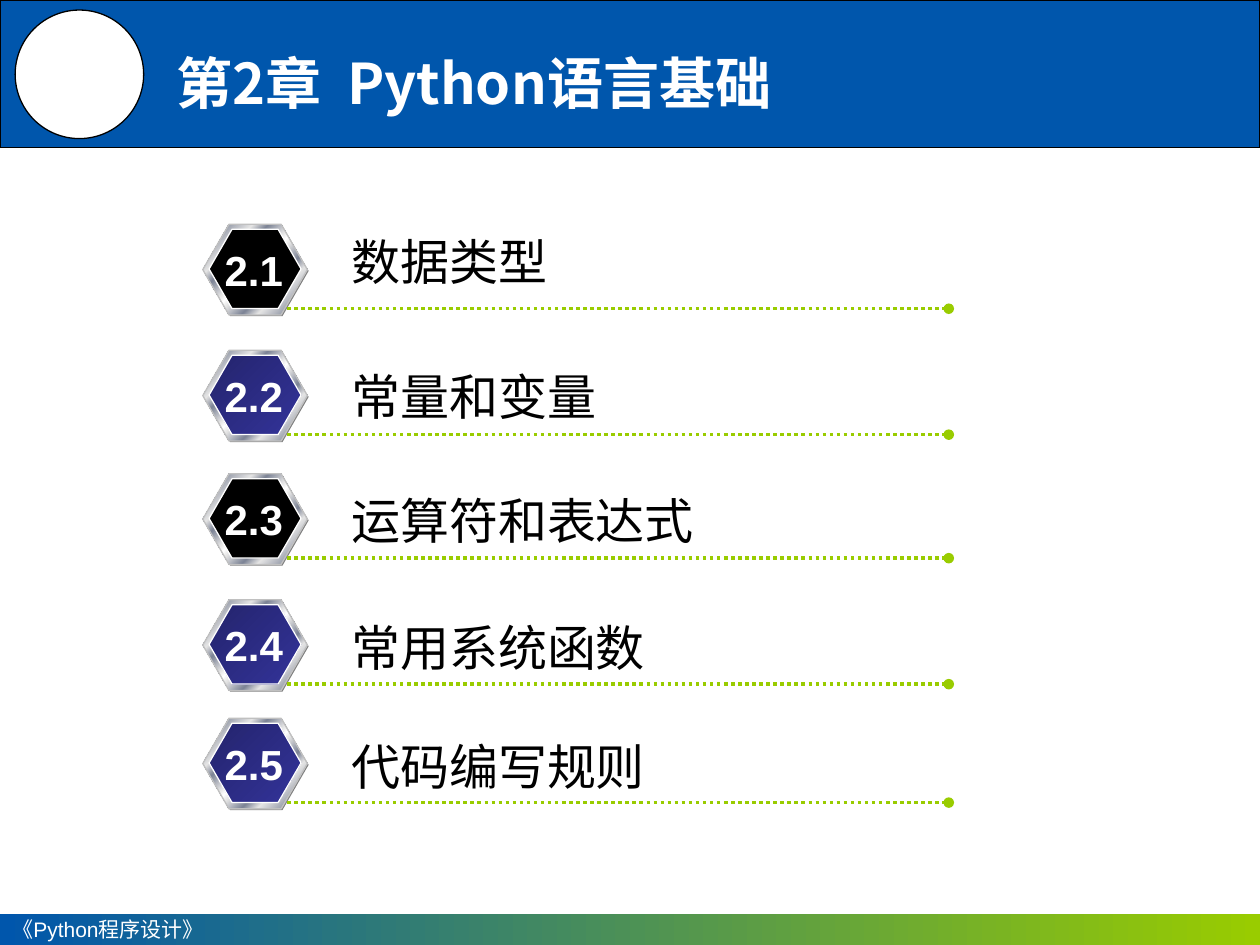
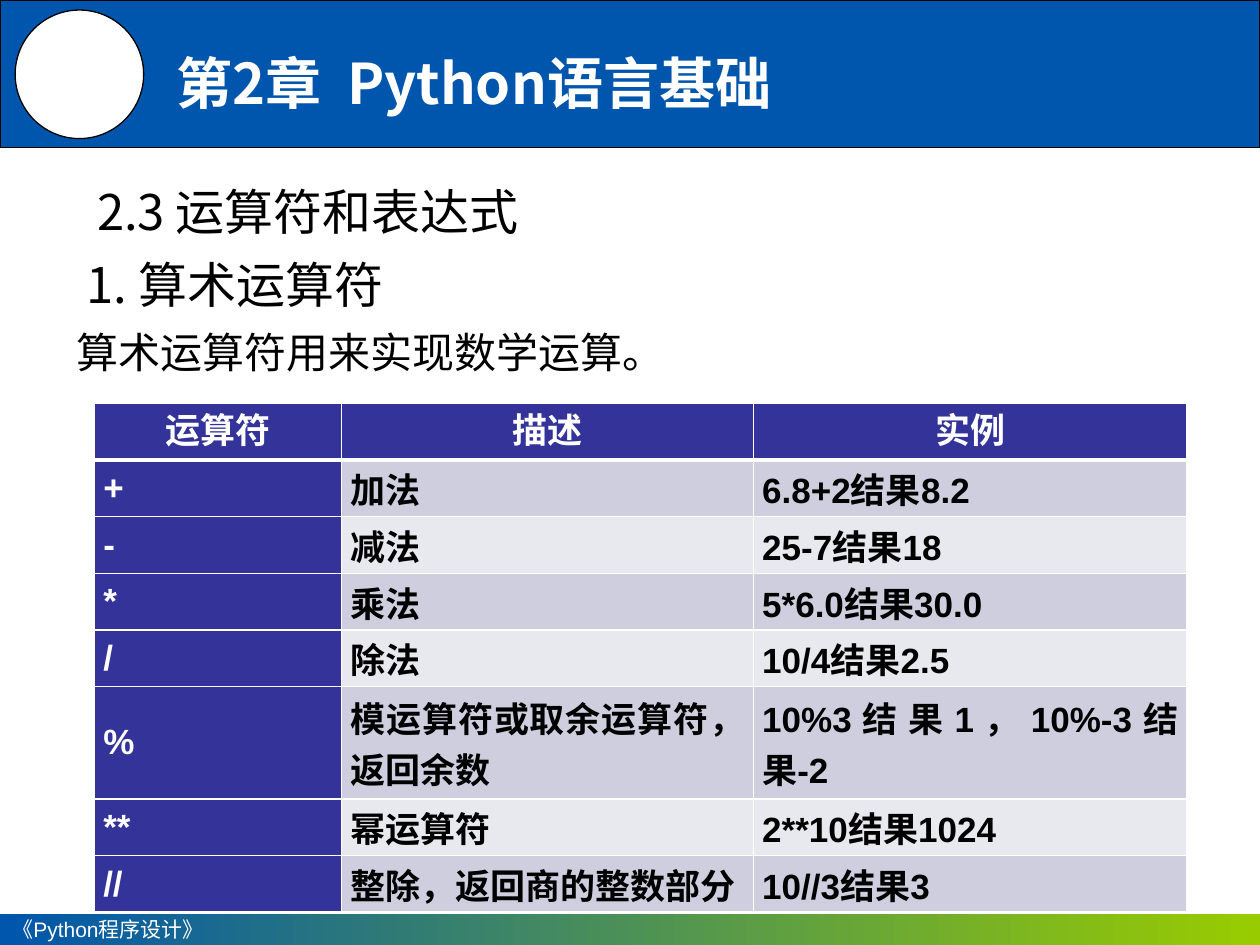
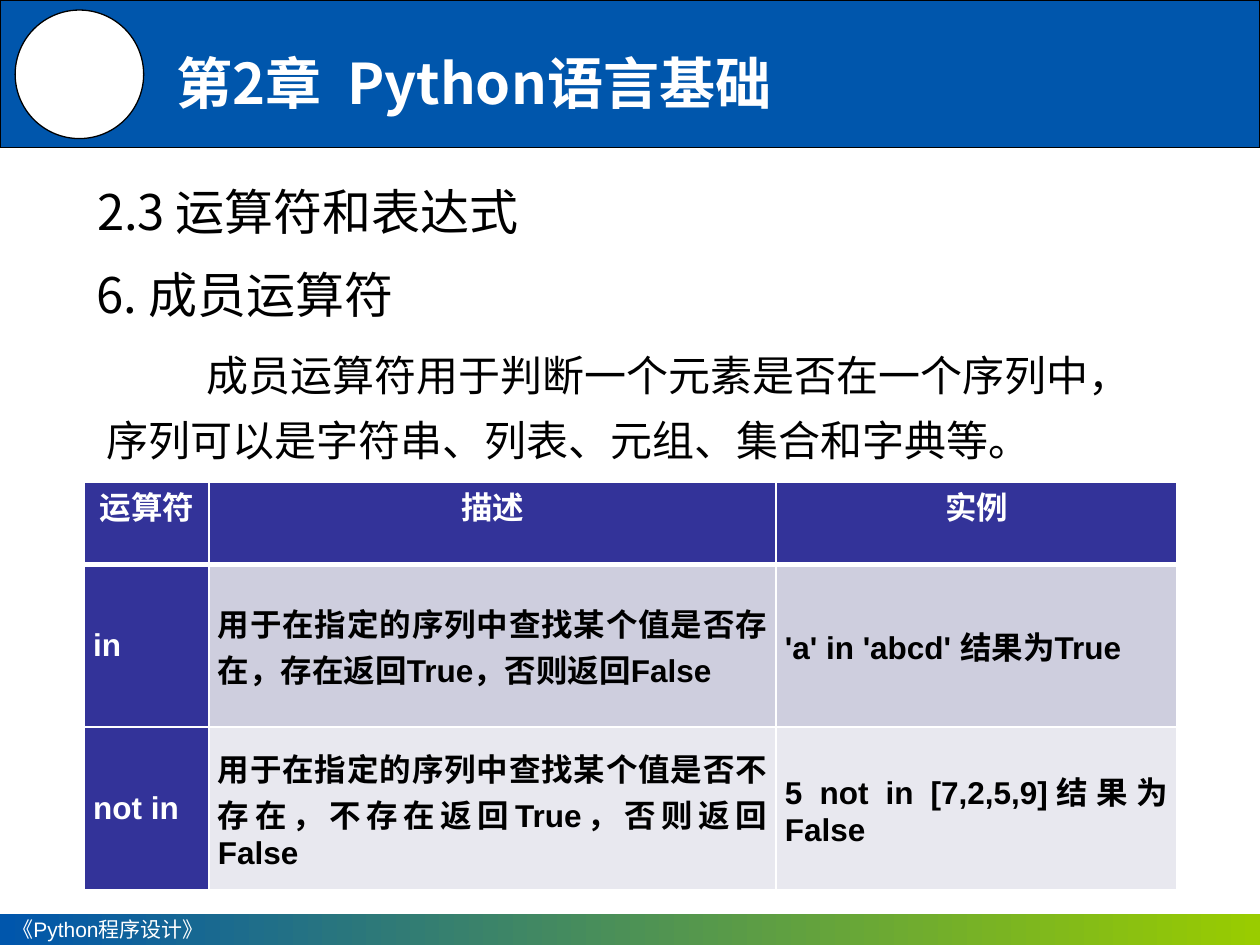
from lxml.etree import SubElement
from pptx import Presentation
from pptx.dml.color import RGBColor
from pptx.enum.dml import MSO_LINE
from pptx.enum.shapes import MSO_CONNECTOR, MSO_SHAPE as Preset
from pptx.enum.text import MSO_ANCHOR as Anchor, MSO_AUTO_SIZE as AutoSize, PP_ALIGN as Align
from pptx.oxml.ns import qn
from pptx.util import Inches, Pt

COLORS = {
    "band": "0056AC",
    "green": "99CC00",
    "white": "FFFFFF",
    "black": "000000",
    "shadow": "808080",
    "rim": "C0C0C0",
    "silver": "E6E6E6",
    "steel": "7D8496",
    "navy": "24246D",
    "indigo": "333399",
    "odd_row": "CECEDE",
    "even_row": "E8E8EF",
}
LATIN = "Arial"
CHINESE = "Noto Sans CJK SC"
CHAPTER = "第2章  Python语言基础"
SECTION = "2.3 运算符和表达式"
FOOTER = "《Python程序设计》"

NAVY_STOPS = [(0, "navy"), (100, "indigo")]
METAL_STOPS = [
    (0, "silver"), (8, "steel"), (26, "silver"), (34, "steel"), (46, "silver"), (50, "white"),
    (54, "silver"), (66, "steel"), (74, "silver"), (92, "steel"), (100, "silver"),
]

SECTIONS = [
    ("2.1", "数据类型", 1.78, 1.79, 1.77, 1, True),
    ("2.2", "常量和变量", 2.78, 2.86, 2.16, 1, False),
    ("2.3", "运算符和表达式", 3.76, 3.84, 2.95, 1, True),
    ("2.4", "常用系统函数", 4.76, 4.62, 2.56, 1.5, False),
    ("2.5", "代码编写规则", 5.7, 5.56, 2.56, 1.5, False),
]

TABLE_HEADER = ("运算符", "描述", "实例")
ARITHMETIC_ROWS = [
    TABLE_HEADER,
    ("+", "加法", "6.8+2结果8.2"),
    ("-", "减法", "25-7结果18"),
    ("*", "乘法", "5*6.0结果30.0"),
    ("/", "除法", "10/4结果2.5"),
    ("%", "模运算符或取余运算符，返回余数", "10%3结果1，10%-3结果-2"),
    ("**", "幂运算符", "2**10结果1024"),
    ("//", "整除，返回商的整数部分", "10//3结果3"),
]
MEMBERSHIP_ROWS = [
    TABLE_HEADER,
    ("in", "用于在指定的序列中查找某个值是否存在，存在返回True，否则返回False", "'a' in 'abcd' 结果为True"),
    ("not in", "用于在指定的序列中查找某个值是否不存在，不存在返回True，否则返回False",
     "5 not in [7,2,5,9]结果为False"),
]


def rgb(name):
    return RGBColor.from_string(COLORS[name])


def inches(values):
    return [Inches(value) for value in values]


def write(text_frame, text, size, color, font=CHINESE, bold=False, align=Align.LEFT, spacing=None):
    text_frame.text = text
    paragraph = text_frame.paragraphs[0]
    paragraph.alignment = align
    if spacing:
        paragraph.line_spacing = spacing
    for run in paragraph.runs:
        run.font.size = Pt(size)
        run.font.bold = bold
        run.font.color.rgb = rgb(color)
        run.font.name = font
        SubElement(run._r.get_or_add_rPr(), qn("a:ea")).set("typeface", CHINESE)
    return paragraph


def set_indent(paragraph, left, first):
    properties = paragraph._p.get_or_add_pPr()
    properties.set("marL", str(Inches(left)))
    properties.set("indent", str(Inches(first)))
    return properties


def fill_gradient(shape, stops, angle):
    shape.fill.gradient()
    shape.fill.gradient_angle = -angle % 360
    stop_list = shape.element.spPr.find(".//" + qn("a:gsLst"))
    for stop in list(stop_list):
        stop_list.remove(stop)
    for position, color in stops:
        stop = SubElement(stop_list, qn("a:gs"))
        stop.set("pos", str(position * 1000))
        SubElement(stop, qn("a:srgbClr")).set("val", COLORS[color])


def add_preset(shapes, preset, box, fill, line=None, angle=0):
    shape = shapes.add_shape(preset, *inches(box))
    shape.shadow.inherit = False
    if isinstance(fill, list):
        fill_gradient(shape, fill, angle)
    else:
        shape.fill.solid()
        shape.fill.fore_color.rgb = rgb(fill)
    if line:
        shape.line.color.rgb = rgb(line)
        shape.line.width = Pt(0.75)
    else:
        shape.line.fill.background()
    return shape


def add_text(shapes, box, text, size, color="black", wrap=True, **style):
    text_frame = shapes.add_textbox(*inches(box)).text_frame
    text_frame.word_wrap = wrap
    text_frame.auto_size = AutoSize.SHAPE_TO_FIT_TEXT
    return write(text_frame, text, size, color, **style)


def add_hexagon(shapes, box, fill, line=None):
    hexagon = add_preset(shapes, Preset.HEXAGON, box, fill, line, angle=45)
    hexagon.adjustments[0] = 0.289


def add_dotted_rule(shapes, left, right, top):
    rule = shapes.add_connector(MSO_CONNECTOR.STRAIGHT, *inches((left, top, right, top)))
    rule.line.color.rgb = rgb("green")
    rule.line.width = Pt(2)
    rule.line.dash_style = MSO_LINE.ROUND_DOT
    SubElement(rule.line._get_or_add_ln(), qn("a:tailEnd")).set("type", "oval")
    SubElement(rule.element.spPr, qn("a:effectLst"))


def add_section(slide, number, name, top, name_top, name_width, spacing, dark):
    shapes = slide.shapes.add_group_shape().shapes
    add_hexagon(shapes, (1.62, top + 0.01, 0.83, 0.72), "shadow")
    add_hexagon(shapes, (1.61, top, 0.83, 0.72), METAL_STOPS, "rim")
    add_hexagon(shapes, (1.66, top + 0.04, 0.73, 0.63), "black" if dark else NAVY_STOPS, "white")
    add_dotted_rule(shapes, 2.28, 7.53, top + 0.67)
    add_text(shapes, (2.69, name_top, name_width, 0.57 if spacing == 1 else 0.72), name, 28,
             wrap=False, spacing=spacing)
    add_text(shapes, (1.68, top + 0.11, 0.67, 0.51), number, 24, "white", wrap=False,
             font=LATIN, bold=True, align=Align.CENTER)


def move_frame_to_master(presentation, slide):
    band = add_preset(slide.shapes, Preset.RECTANGLE, (0, 0, 10, 1.17), "band", "black")
    footer = add_preset(slide.shapes, Preset.RECTANGLE, (0, 7.25, 10, 0.25),
                        [(0, "band"), (100, "green")])
    footer.text_frame.vertical_anchor = Anchor.MIDDLE
    footer.text_frame.word_wrap = True
    write(footer.text_frame, FOOTER, 12, "white", font=LATIN)
    badge = add_preset(slide.shapes, Preset.OVAL, (0.12, 0.08, 1.02, 1.02), "white", "black")
    for number, shape in enumerate((band, footer, badge), 101):
        shape.element.nvSpPr.cNvPr.id = number
        presentation.slide_master.shapes.element.append(shape.element)


def place(shape, box):
    shape.left, shape.top, shape.width, shape.height = inches(box)
    shape.text_frame.word_wrap = True
    shape.text_frame.auto_size = AutoSize.NONE
    return shape.text_frame


def add_slide(presentation, layout):
    slide = presentation.slides.add_slide(presentation.slide_layouts[layout])
    title_frame = place(slide.shapes.title, (1.3, 0.15, 6.46, 1))
    title_frame.vertical_anchor = Anchor.MIDDLE
    write(title_frame, CHAPTER, 32, "white", bold=True)
    return slide


def add_section_slide(presentation):
    slide = add_slide(presentation, 1)
    body_frame = place(slide.placeholders[1], (0.67, 1.39, 3.94, 0.63))
    paragraph = write(body_frame, SECTION, 28, "black")
    paragraph.space_before = Pt(0)
    SubElement(set_indent(paragraph, 0.38, -0.38), qn("a:buNone"))
    return slide


def add_borders(cell, row):
    properties = cell._tc.get_or_add_tcPr()
    widths = {"lnL": 1, "lnR": 1, "lnT": 3 if row == 1 else 1, "lnB": 3 if row == 0 else 1}
    for side, width in widths.items():
        line = SubElement(properties, qn("a:" + side))
        line.set("w", str(Pt(width)))
        fill = SubElement(line, qn("a:solidFill"))
        SubElement(fill, qn("a:srgbClr")).set("val", COLORS["white"])


def add_operator_table(slide, left, top, widths, heights, rows, size, left_aligned=()):
    box = inches((left, top, sum(widths), sum(heights)))
    table = slide.shapes.add_table(len(rows), len(widths), *box).table
    for column, width in zip(table.columns, widths):
        column.width = Inches(width)
    for row, (height, texts) in enumerate(zip(heights, rows)):
        table.rows[row].height = Inches(height)
        for column, text in enumerate(texts):
            cell = table.cell(row, column)
            heading = row == 0 or column == 0
            add_borders(cell, row)
            cell.fill.solid()
            cell.fill.fore_color.rgb = rgb("indigo" if heading else "odd_row" if row % 2 else "even_row")
            cell.margin_left = cell.margin_right = Inches(0.07)
            cell.margin_top = cell.margin_bottom = 0
            cell.vertical_anchor = Anchor.MIDDLE if row else Anchor.TOP
            align = Align.JUSTIFY if row else Align.CENTER
            if (row, column) in left_aligned:
                align = Align.LEFT
            write(cell.text_frame, text, size, "white" if heading else "black",
                  font=LATIN, bold=True, align=align)


def build_contents(presentation):
    slide = add_slide(presentation, 5)
    move_frame_to_master(presentation, slide)
    for section in SECTIONS:
        add_section(slide, *section)


def build_arithmetic(presentation):
    slide = add_section_slide(presentation)
    add_text(slide.shapes, (0.59, 1.94, 9.13, 0.61), "1. 算术运算符", 28, spacing=Pt(36))
    add_text(slide.shapes, (0.51, 2.54, 5.2, 0.5), "算术运算符用来实现数学运算。", 24)
    heights = [0.45] * 5 + [0.89] + [0.45] * 2
    add_operator_table(slide, 0.75, 3.2, (1.96, 3.27, 3.44), heights, ARITHMETIC_ROWS, 20)


def build_membership(presentation):
    slide = add_section_slide(presentation)
    add_text(slide.shapes, (0.67, 2.02, 4.09, 0.61), "6. 成员运算符", 28, spacing=Pt(36))
    paragraph = add_text(
        slide.shapes, (0.75, 2.61, 8.35, 1.14),
        "成员运算符用于判断一个元素是否在一个序列中，序列可以是字符串、列表、元组、集合和字典等。",
        24, spacing=Pt(37))
    set_indent(paragraph, 0, 0.79)
    add_operator_table(slide, 0.67, 3.83, (0.99, 4.5, 3.18), (0.65, 1.29, 1.29),
                       MEMBERSHIP_ROWS, 18, left_aligned=[(1, 2)])


def main():
    presentation = Presentation()
    presentation.slide_width = Inches(10)
    presentation.slide_height = Inches(7.5)
    build_contents(presentation)
    build_arithmetic(presentation)
    build_membership(presentation)
    presentation.save("out.pptx")


if __name__ == "__main__":
    main()
